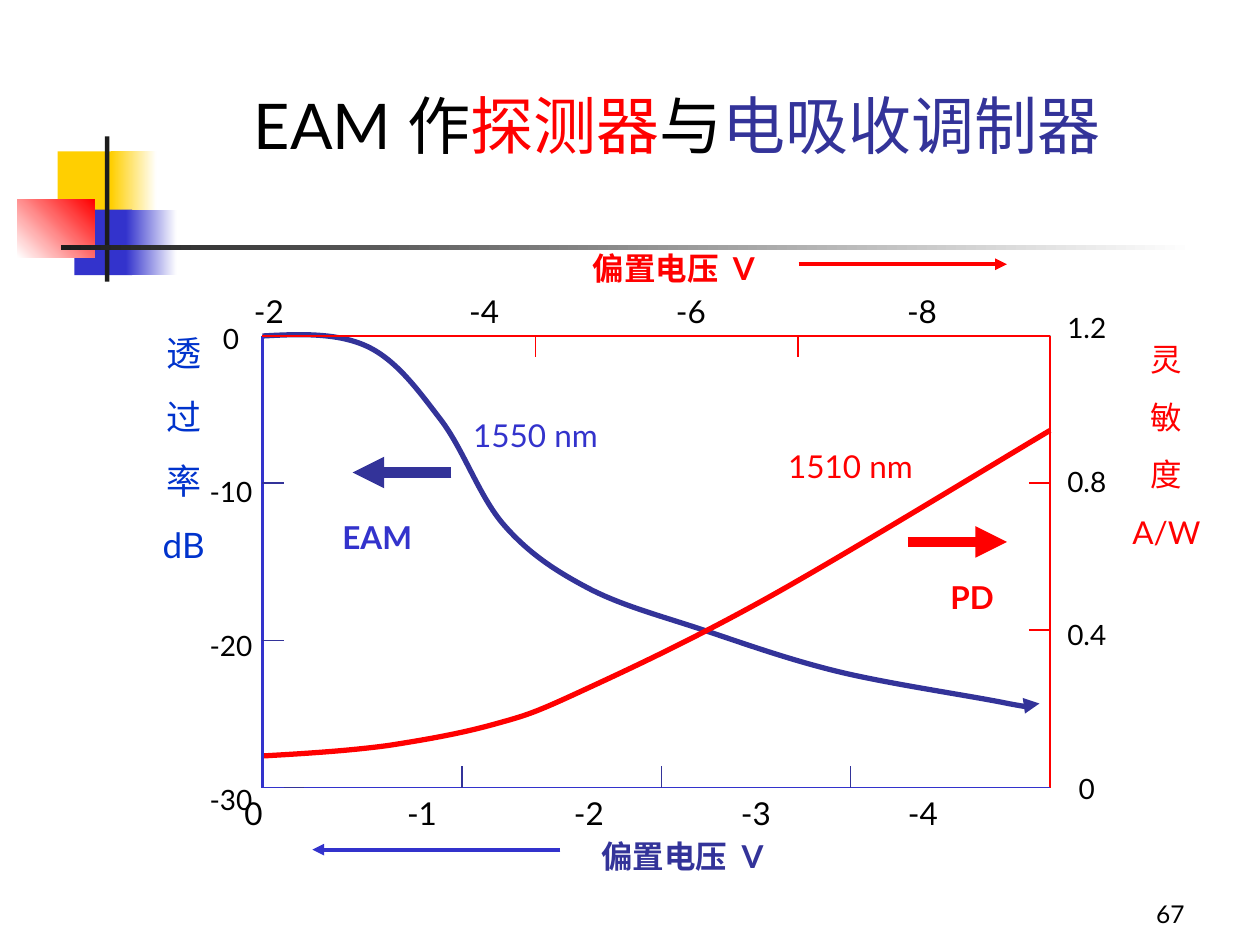
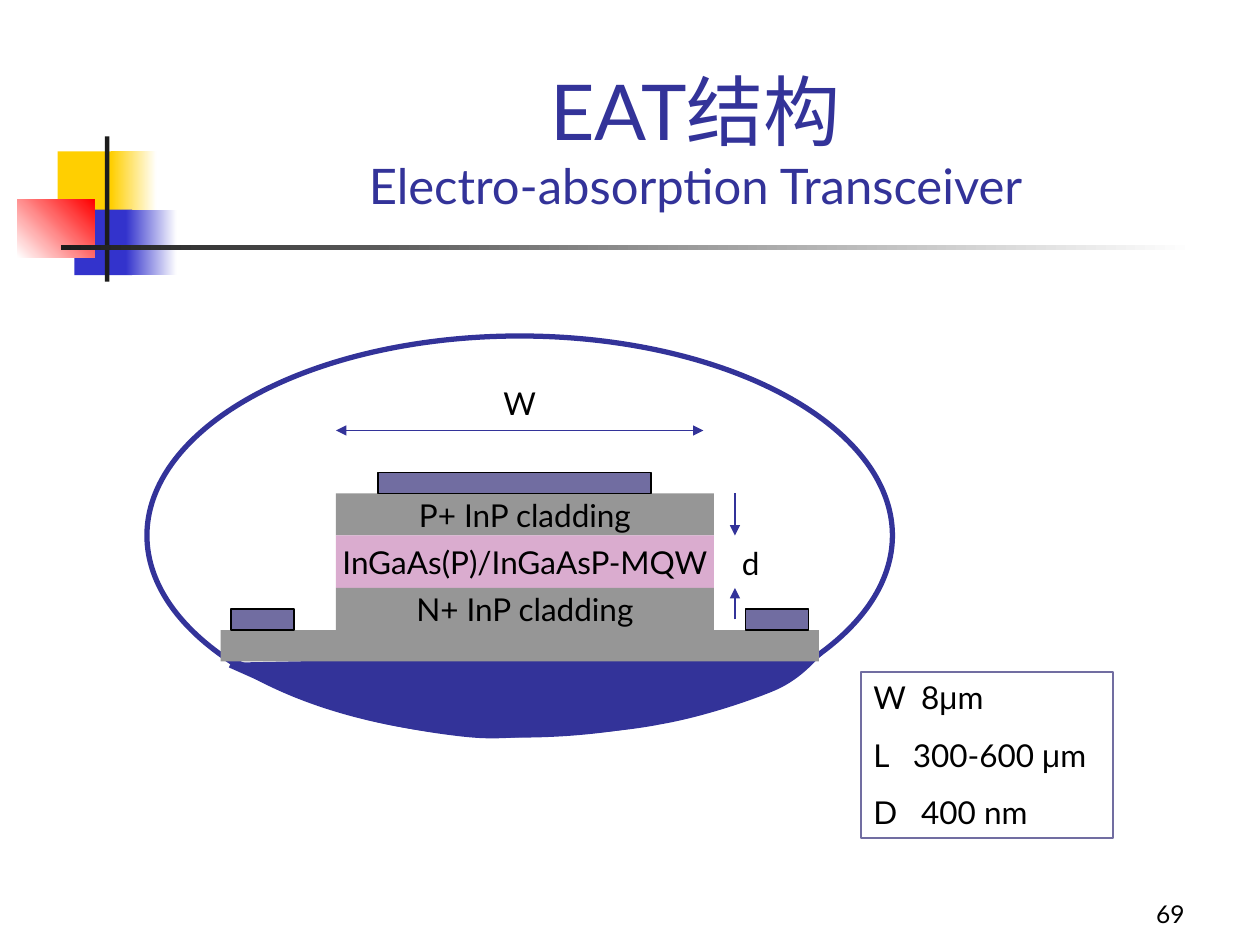
import pptx
import pptx.util
import pptx.dml.color
import pptx.enum.shapes
import pptx.enum.text
import pptx.oxml
import pptx.oxml.ns
import lxml.etree

Pt = pptx.util.Pt
SHAPE = pptx.enum.shapes.MSO_SHAPE
ALIGN = pptx.enum.text.PP_ALIGN
ANCHOR = pptx.enum.text.MSO_ANCHOR
qn = pptx.oxml.ns.qn

# Shared look
FONT = "Lato"
BLACK, WHITE, RED = "000000", "FFFFFF", "FF0000"
NAVY, BLUE, AXIS_BLUE = "333399", "3333CC", "0033CC"
YELLOW, BAR = "FFCF01", "1C1C1C"
GREY, PINK, METAL = "969696", "DAACCF", "716DA1"


def rgb(value):
    return pptx.dml.color.RGBColor.from_string(value)


# Text
def put_text(sp, paras, size=18, color=BLACK, bold=False, align=ALIGN.CENTER,
             anchor=ANCHOR.TOP, before=0, tabs=None, wrap=True):
    """A paragraph is a string or a list of (text, own format) runs; tabs has a list for each."""
    tf = sp.text_frame
    tf.word_wrap = wrap
    tf.vertical_anchor = anchor
    for i, para in enumerate(paras):
        p = tf.add_paragraph() if i else tf.paragraphs[0]
        p.alignment = align
        if i and before:
            p.space_before = Pt(before)
        if tabs:
            tab_list = lxml.etree.SubElement(p._p.get_or_add_pPr(), qn("a:tabLst"))
            for pos in tabs[i]:
                lxml.etree.SubElement(tab_list, qn("a:tab"), pos=str(int(Pt(pos))), algn="l")
        for text, own in [(para, {})] if isinstance(para, str) else para:
            r = p.add_run()
            r.text = text.rstrip("\n")
            r.font.name = own.get("font", FONT)
            r.font.size = Pt(own.get("size", size))
            r.font.bold = bold
            r.font.color.rgb = rgb(own.get("color", color))
            if "spacing" in own:
                r.font._element.set("spc", str(int(own["spacing"] * 100)))
            if text.endswith("\n"):
                p.add_line_break()


def add_text(slide, x, y, w, h, paras, **fmt):
    sp = slide.shapes.add_textbox(Pt(x), Pt(y), Pt(w), Pt(h))
    put_text(sp, [paras] if isinstance(paras, str) else paras, **fmt)
    return sp


# Shapes and lines
def style(sp, fill=None, line=None, width=1):
    sp.shadow.inherit = False
    if fill:
        sp.fill.solid()
        sp.fill.fore_color.rgb = rgb(fill)
    else:
        sp.fill.background()
    if line:
        sp.line.color.rgb = rgb(line)
        sp.line.width = Pt(width)
    else:
        sp.line.fill.background()
    return sp


def add_box(slide, x, y, w, h, fill=None, line=None, width=1, kind=SHAPE.RECTANGLE):
    sp = slide.shapes.add_shape(kind, Pt(x), Pt(y), Pt(w), Pt(h))
    return style(sp, fill, line, width)


def add_fade(slide, x, y, w, h, start, end, angle=0):
    sp = add_box(slide, x, y, w, h)
    sp.fill.gradient()
    sp.fill.gradient_angle = angle
    for stop, color, pos in zip(sp.fill.gradient_stops, (start, end), (0, 1)):
        stop.color.rgb = rgb(color)
        stop.position = pos


def add_heads(sp, ends):
    ln = sp.line._get_or_add_ln()
    for end in ends:
        lxml.etree.SubElement(ln, qn("a:" + end), type="triangle")


def add_line(slide, x1, y1, x2, y2, color=NAVY, width=1, ends=()):
    sp = slide.shapes.add_connector(pptx.enum.shapes.MSO_CONNECTOR.STRAIGHT,
                                    Pt(x1), Pt(y1), Pt(x2), Pt(y2))
    sp.line.color.rgb = rgb(color)
    sp.line.width = Pt(width)
    add_heads(sp, ends)
    lxml.etree.SubElement(sp._element.spPr, qn("a:effectLst"))


def add_curve(slide, x, y, start, bends, color, width, fill=None, ends=()):
    """Follow cubic bends, each given as two control points and an end point."""
    points = [(Pt(x + b[k]), Pt(y + b[k + 1])) for b in bends for k in (0, 2, 4)]
    fb = slide.shapes.build_freeform(Pt(x + start[0]), Pt(y + start[1]))
    fb.add_line_segments(points, close=False)
    sp = style(fb.convert_to_shape(), fill, color, width)
    add_heads(sp, ends)
    # Turn each three straight segments into one bend
    segments = list(sp._element.iter(qn("a:lnTo")))
    outline = segments[0].getparent()
    for k in range(0, len(segments), 3):
        bend = lxml.etree.SubElement(outline, qn("a:cubicBezTo"))
        for segment in segments[k:k + 3]:
            bend.append(segment[0])
            outline.remove(segment)


# Parts found on every slide
def add_ornament(slide, x, y):
    add_box(slide, x + 23, y + 8.5, 34.5, 37.5, YELLOW)
    add_fade(slide, x + 53.5, y + 8.5, 26, 37.5, YELLOW, WHITE)
    add_box(slide, x + 32.5, y + 41.8, 33, 37.5, BLUE)
    add_fade(slide, x + 62, y + 41.8, 29, 37.5, BLUE, WHITE)
    add_fade(slide, x, y + 36, 44, 33.2, WHITE, RED, 45)
    add_box(slide, x + 50, y, 2.5, 83, BAR)
    add_fade(slide, x + 25, y + 62.2, 648, 2.5, BAR, WHITE)


def new_slide(prs, number):
    slide = prs.slides.add_slide(prs.slide_layouts[6])
    add_ornament(slide, 10, 78)
    add_text(slide, 534, 498, 150, 36, number, size=14,
             align=ALIGN.RIGHT, anchor=ANCHOR.BOTTOM)
    return slide


# Slide with the two response curves
def add_axes(slide, x, y, w, h):
    right, bottom, tick = x + w, y + h, 12
    add_line(slide, right, bottom, right, y, RED, 1.5)
    add_line(slide, x, bottom, x, y, BLUE, 1.5)
    add_line(slide, x, y, right, y, RED)
    add_line(slide, x, bottom, right, bottom, BLUE)
    for dx in (114, 228, 336):
        add_line(slide, x + dx, bottom - tick, x + dx, bottom)
    for dx in (156, 306):
        add_line(slide, x + dx, y, x + dx, y + tick, RED)
    for dx, dy in ((0, 84), (0, 174), (tick, h)):
        add_line(slide, x + dx, y + dy, x + dx + tick, y + dy)
    for dy in (84, 168):
        add_line(slide, right - tick, y + dy, right, y + dy, RED)

    # Scales
    add_text(slide, x - 12, y - 28.5, 480, 29, "-2\t-4\t-6\t-8",
             align=ALIGN.LEFT, tabs=[(123, 241.2, 373.2)])
    add_text(slide, x - 17.5, y + h, 480, 29, "0\t-1\t-2\t-3\t-4",
             align=ALIGN.LEFT, tabs=[[93 + 95.4 * i for i in range(4)]])
    add_text(slide, x - 48, y - 12, 60, 290, ["0", "-10", "-20", "-30"], size=16, before=68.6)
    add_text(slide, right - 6, y - 18, 54, 290, ["1.2", "0.8", "0.4", "0"],
             size=16, before=68.6)

    # Axis titles
    add_text(slide, x - 66, y - 6, 42, 141, ["透", "过", "率", "dB"],
             size=20, color=AXIS_BLUE, before=12.5)
    add_text(slide, right + 38, y - 1, 57, 127, ["灵", "敏", "度", "A/W"],
             color=RED, before=11.2)
    for dx, dy, color in ((168, h + 24.5, NAVY), (169, -53, RED)):
        add_text(slide, x + dx, y + dy, 144 if color == NAVY else 132, 29,
                 [[("偏置电压", {}), (" ", {"spacing": 4}), ("V", {})]], color=color, bold=True)


def add_response_plot(slide, x, y, w, h):
    add_box(slide, x, y, w, h, line="777777")

    # Modulator and detector curves
    add_curve(slide, x, y, (0, 0), [
        (21.4, -1.2, 43, -2, 60, 6),
        (76.8, 14, 89, 31, 102, 48),
        (115, 65, 124, 92, 138, 108),
        (152, 124, 167, 134, 186, 144),
        (205, 154, 228, 160, 252, 168),
        (276, 176, 301, 185, 330, 192),
        (359, 199, 407, 206, 426, 210),
        (444.7, 213.4, 441, 209, 444, 210)], NAVY, 3, ends=["tailEnd"])
    add_curve(slide, x, y, (0, 240), [
        (25, 238.6, 50, 237, 72, 234),
        (94, 230.6, 114, 227, 132, 222),
        (150, 217, 154, 216, 180, 204),
        (206, 192, 243, 175, 288, 150),
        (333, 125, 423, 70, 450, 54)], RED, 3)
    add_axes(slide, x, y, w, h)

    # Curve labels
    for dx, dy, width, text, color, bold in ((102, 42, 108, "1550 nm", BLUE, False),
                                             (282, 60, 108, "1510 nm", RED, False),
                                             (34, 100.3, 63, "EAM", BLUE, True),
                                             (380, 135, 51, "PD", RED, True)):
        add_text(slide, x + dx, y + dy, width, 29, text, color=color, bold=bold)

    # Arrows towards the scale that applies
    for x1, x2, dy, color, width in ((108, 51.5, 78, NAVY, 6), (368.7, 425.4, 117.7, RED, 6),
                                     (306.4, 425.4, -41, RED, 2.25),
                                     (170.2, 28.5, h + 35.5, BLUE, 2.25)):
        add_line(slide, x + x1, y + dy, x + x2, y + dy, color, width, ["tailEnd"])


def build_response_slide(prs):
    slide = new_slide(prs, "67")
    add_text(slide, 138, 45.8, 498, 94, [[
        ("EAM 作", {}), ("探测器", {"color": RED}), ("与", {}),
        ("电吸收调制器", {"color": NAVY})]], size=36)
    add_response_plot(slide, 150, 192, 450, 258)


# Slide with the device cross-section
def add_device(slide, x, y, w, h):
    add_box(slide, x, y, w, h, line=NAVY, width=3, kind=SHAPE.OVAL)

    # Substrate and base
    add_curve(slide, x, y, (48, 186.7), [
        (69, 196, 91, 206, 112.6, 212.6),
        (134, 219, 158.6, 223.4, 177.4, 225.6),
        (195.4, 227.8, 203, 227, 222.7, 225.6),
        (242, 225, 271, 223.4, 293, 219),
        (316, 215, 343, 206, 358, 199.7),
        (373, 193, 379.7, 183, 384, 180)], NAVY, 6, fill=NAVY)
    add_box(slide, x + 42, y + 168, 342, 18, GREY)

    # Mesa layers, top down
    top = y + 90
    for text, height, fill in (("P+ InP cladding", 24, GREY),
                               ("InGaAs(P)/InGaAsP-MQW", 30, PINK),
                               ("N+ InP cladding", 24, GREY)):
        sp = add_box(slide, x + 108, top, 216, height, fill)
        put_text(sp, [text], anchor=ANCHOR.MIDDLE, wrap=False)
        top += height

    # Contacts
    for dx, dy, width in ((132, 78, 156), (48, 156, 36), (342, 156, 36)):
        add_box(slide, x + dx, y + dy, width, 12, METAL, BLACK)

    # Dimensions
    add_line(slide, x + 108, y + 54, x + 318, y + 54, ends=["headEnd", "tailEnd"])
    add_text(slide, x + 186, y + 24, 54, 29, "W")
    for y1, y2 in ((90, 114), (162, 144)):
        add_line(slide, x + 336, y + y1, x + 336, y + y2, ends=["tailEnd"])
    add_text(slide, x + 324, y + 115.5, 42, 29, "d")


def add_parameters(slide, x, y, w, h):
    sp = add_box(slide, x, y, w, h, line=METAL)
    micron = [("μ", {"font": "Arial"}), ("m", {})]
    put_text(sp, [[("W\t8", {})] + micron, [("L\t300-600 ", {})] + micron, "D\t400 nm"],
             align=ALIGN.LEFT, before=11.2, tabs=[[27.3], [22.5], [27.3]])


def build_device_slide(prs):
    slide = new_slide(prs, "69")
    add_text(slide, 90.7, 36, 613.4, 90, [
        [("EAT结构\n", {"size": 44}), ("Electro-absorption Transceiver", {})]],
        size=28, color=NAVY, anchor=ANCHOR.BOTTOM)
    add_device(slide, 84, 192, 426, 228)
    add_parameters(slide, 492, 384, 144, 95)


def main():
    prs = pptx.Presentation()
    prs.slide_width, prs.slide_height = Pt(720), Pt(540)
    build_response_slide(prs)
    build_device_slide(prs)
    prs.save("out.pptx")


if __name__ == "__main__":
    main()
